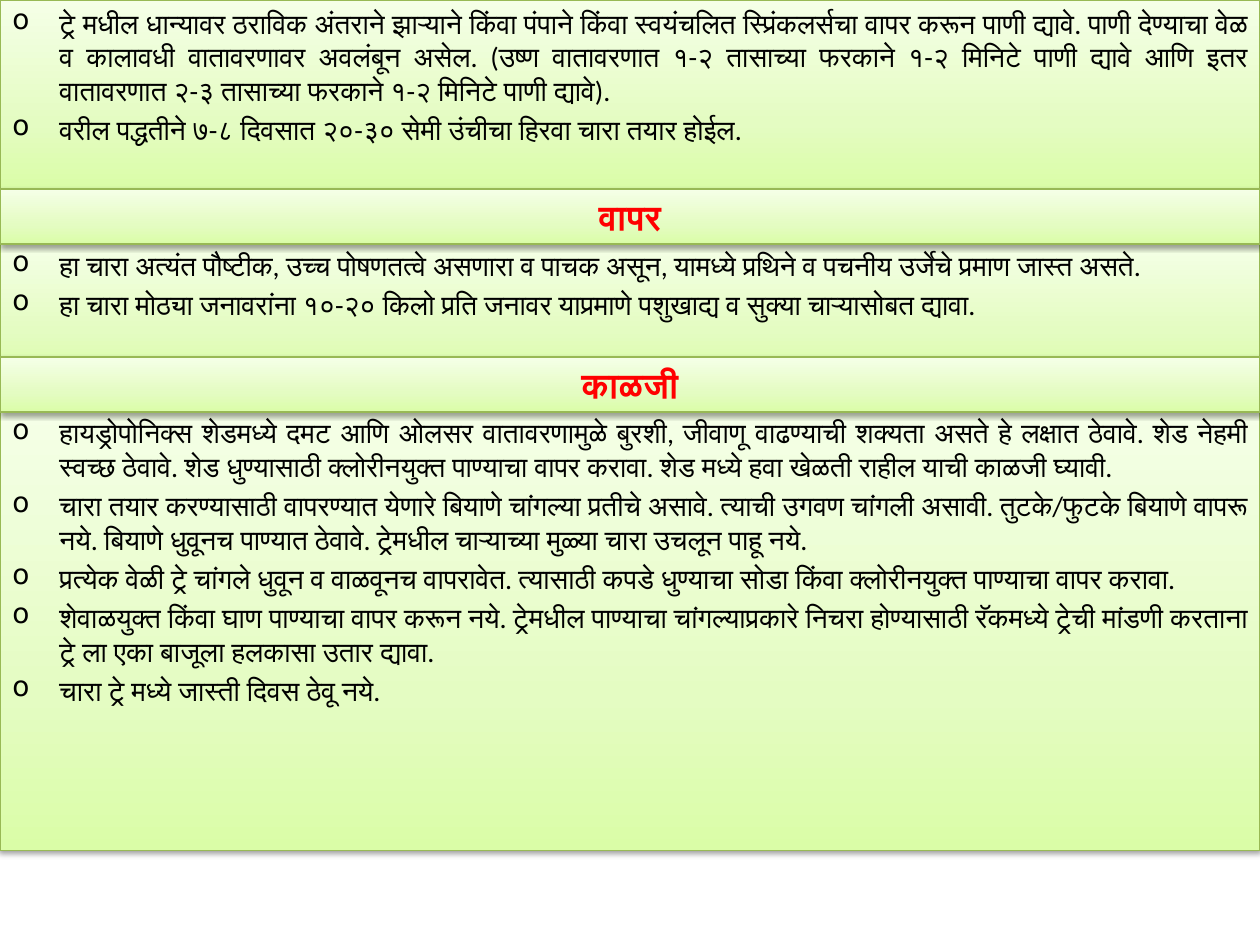
from copy import deepcopy

from lxml import etree
from pptx import Presentation
from pptx.dml.color import RGBColor
from pptx.enum.shapes import MSO_SHAPE
from pptx.enum.text import MSO_ANCHOR, MSO_AUTO_SIZE, PP_ALIGN
from pptx.oxml.ns import qn
from pptx.util import Cm, Pt

RECTANGLE = MSO_SHAPE.RECTANGLE
TOP, MIDDLE = MSO_ANCHOR.TOP, MSO_ANCHOR.MIDDLE
FIT_SHAPE, NO_FIT = MSO_AUTO_SIZE.SHAPE_TO_FIT_TEXT, MSO_AUTO_SIZE.NONE
JUSTIFY, CENTER = PP_ALIGN.JUSTIFY, PP_ALIGN.CENTER

COLORS = {
    "deep": "DAFDA7",
    "mid": "E4FCC2",
    "pale": "F5FFE7",
    "border": "98B955",
    "shadow": "000000",
    "text": "000000",
    "heading": "FF0000",
}
GRADIENT = [(0, "deep"), (0.35, "mid"), (1, "pale")]
LIST_FONT = {"name": "Calibri", "size": Pt(16), "bold": False}
HEADING_FONT = {"name": "Calibri", "size": Pt(20), "bold": True}
LIST_FRAME = {"word_wrap": True, "vertical_anchor": TOP, "auto_size": NO_FIT}
HEADING_FRAME = {"word_wrap": True, "vertical_anchor": MIDDLE, "auto_size": FIT_SHAPE}

PAGE_WIDTH, PAGE_HEIGHT = 25.4, 19.05
HEADING_HEIGHT = 1.11
INDENT = 0.95

WATERING = [
    "ट्रे मधील धान्यावर ठराविक अंतराने झाऱ्याने किंवा पंपाने किंवा स्वयंचलित स्प्रिंकलर्सचा वापर करून पाणी द्यावे. पाणी देण्याचा वेळ व कालावधी वातावरणावर अवलंबून असेल. (उष्ण वातावरणात १-२ तासाच्या फरकाने १-२ मिनिटे पाणी द्यावे आणि इतर वातावरणात २-३ तासाच्या फरकाने १-२ मिनिटे पाणी द्यावे).",
    "वरील पद्धतीने ७-८ दिवसात २०-३० सेमी उंचीचा हिरवा चारा तयार होईल.",
]
USAGE = [
    "हा चारा अत्यंत पौष्टीक, उच्च पोषणतत्वे असणारा व पाचक असून, यामध्ये प्रथिने व पचनीय उर्जेचे प्रमाण जास्त असते.",
    "हा चारा मोठ्या जनावरांना १०-२० किलो प्रति जनावर याप्रमाणे पशुखाद्य व सुक्या चाऱ्यासोबत द्यावा.",
]
CARE = [
    "हायड्रोपोनिक्स शेडमध्ये दमट आणि ओलसर वातावरणामुळे बुरशी, जीवाणू वाढण्याची शक्यता असते हे लक्षात ठेवावे. शेड नेहमी स्वच्छ ठेवावे. शेड धुण्यासाठी क्लोरीनयुक्त पाण्याचा वापर करावा. शेड मध्ये हवा खेळती राहील याची काळजी घ्यावी.",
    "चारा तयार करण्यासाठी वापरण्यात येणारे बियाणे चांगल्या प्रतीचे असावे. त्याची उगवण चांगली असावी. तुटके/फुटके बियाणे वापरू नये. बियाणे धुवूनच पाण्यात ठेवावे. ट्रेमधील चाऱ्याच्या मुळ्या चारा उचलून पाहू नये.",
    "प्रत्येक वेळी ट्रे चांगले धुवून व वाळवूनच वापरावेत. त्यासाठी कपडे धुण्याचा सोडा किंवा क्लोरीनयुक्त पाण्याचा वापर करावा.",
    "शेवाळयुक्त किंवा घाण पाण्याचा वापर करून नये. ट्रेमधील पाण्याचा चांगल्याप्रकारे निचरा होण्यासाठी रॅकमध्ये ट्रेची मांडणी करताना ट्रे ला एका बाजूला हलकासा उतार द्यावा.",
    "चारा ट्रे मध्ये जास्ती दिवस ठेवू नये.",
]


def apply_format(target, values):
    """Set each named attribute on the target."""
    for name, value in values.items():
        setattr(target, name, value)


def add_shadow(shape):
    """Give the shape a soft shadow straight below it."""
    shape.shadow.inherit = False
    effects = shape._element.spPr.find(qn("a:effectLst"))
    outer = etree.SubElement(
        effects, qn("a:outerShdw"), blurRad=str(Pt(3.1)), dist=str(Pt(1.6)),
        dir="5400000", rotWithShape="0",
    )
    color = etree.SubElement(outer, qn("a:srgbClr"), val=COLORS["shadow"])
    etree.SubElement(color, qn("a:alpha"), val="38000")


def add_panel(page, box):
    """Add a green gradient rectangle filling the box."""
    panel = page.shapes.add_shape(RECTANGLE, *(Cm(length) for length in box))
    panel.fill.gradient()
    panel.fill.gradient_angle = 90
    stops = panel._element.spPr.find(".//" + qn("a:gsLst"))
    stops.insert(1, deepcopy(stops[0]))
    for stop, (position, color) in zip(panel.fill.gradient_stops, GRADIENT):
        stop.position = position
        stop.color.rgb = RGBColor.from_string(COLORS[color])
    panel.line.color.rgb = RGBColor.from_string(COLORS["border"])
    panel.line.width = Pt(0.75)
    add_shadow(panel)
    return panel


def add_span(para, text, font, color):
    """Add formatted text to the paragraph."""
    span = para.add_run()
    span.text = text
    apply_format(span.font, font)
    span.font.color.rgb = RGBColor.from_string(COLORS[color])


def add_list(page, box, items):
    """Add a panel with a justified bullet list."""
    frame = add_panel(page, box).text_frame
    apply_format(frame, LIST_FRAME)
    for index, item in enumerate(items):
        para = frame.add_paragraph() if index else frame.paragraphs[0]
        para.alignment = JUSTIFY
        para.space_before = Pt(3.2 if index else 0)
        properties = para._p.get_or_add_pPr()
        properties.set("marL", str(Cm(INDENT)))
        properties.set("indent", str(-Cm(INDENT)))
        etree.SubElement(properties, qn("a:buChar"), char="o")
        add_span(para, item, LIST_FONT, "text")


def add_heading(page, box, text):
    """Add a panel with a centred red heading."""
    frame = add_panel(page, box).text_frame
    apply_format(frame, HEADING_FRAME)
    para = frame.paragraphs[0]
    para.alignment = CENTER
    add_span(para, text, HEADING_FONT, "heading")


def main():
    """Build and save the fodder slide."""
    deck = Presentation()
    deck.slide_width, deck.slide_height = Cm(PAGE_WIDTH), Cm(PAGE_HEIGHT)
    page = deck.slides.add_slide(deck.slide_layouts[6])
    for top, height, items in [(8.26, 8.89, CARE), (4.88, 2.74, USAGE), (0, 3.81, WATERING)]:
        add_list(page, (0, top, PAGE_WIDTH, height), items)
    for top, text in [(3.81, "वापर"), (7.2, "काळजी")]:
        add_heading(page, (0, top, PAGE_WIDTH, HEADING_HEIGHT), text)
    deck.save("out.pptx")


if __name__ == "__main__":
    main()
